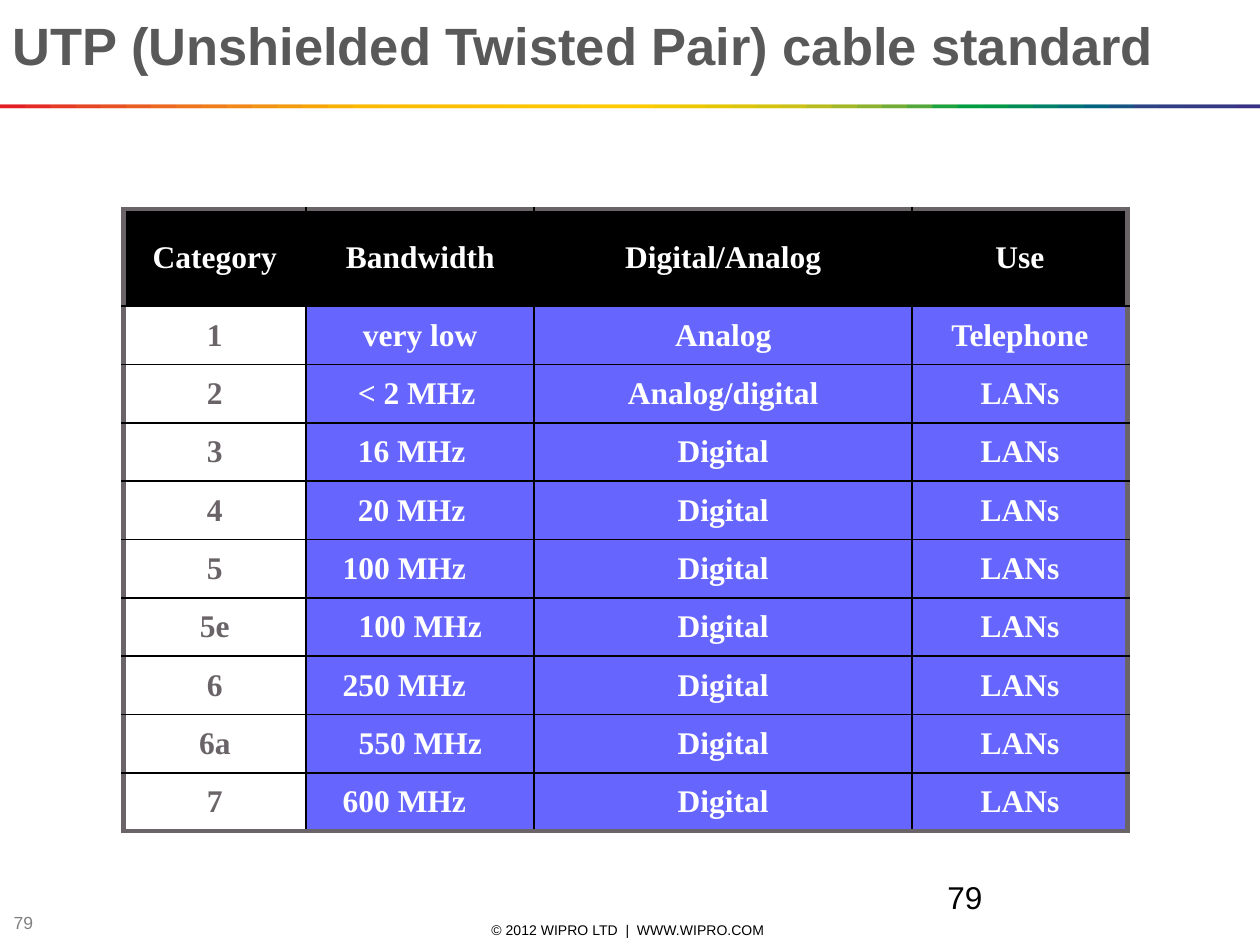
from lxml import etree
from pptx import Presentation
from pptx.dml.color import RGBColor
from pptx.enum.shapes import MSO_SHAPE
from pptx.enum.text import MSO_ANCHOR, MSO_AUTO_SIZE, PP_ALIGN
from pptx.oxml.ns import qn
from pptx.util import Inches, Pt

BLACK, WHITE, FRAME_GREY, VIOLET = "000000", "FFFFFF", "6A6468", "6666FF"

RAINBOW = """
E31E24 E31E24 E42C24 E53A24 E74623 E85122 EA5D21 EC691F EE741D EF7E1A F18817
F39314 F49C0F F6A607 F8B002 FBBA00 FBBB00 FBBD00 FCBF00 FCC000 FCC200 FDC400
FDC600 FDC700 FEC900 FECB00 FBCB00 F3CA00 ECC800 E4C602 DCC50A D5C30E CCC117
B8BC21 A3B829 8CB230 71AD36 51A73B 1DA240 009D43 009846 008C57 008068 007275
00637F 185384 2E4285 313E85 333B85 353885 393185
""".split()

STANDARDS = [
    ("Category", "Bandwidth", "Digital/Analog", "Use"),
    ("1", "very low", "Analog", "Telephone"),
    ("2", "< 2 MHz", "Analog/digital", "LANs"),
    ("3", "16 MHz", "Digital", "LANs"),
    ("4", "20 MHz", "Digital", "LANs"),
    ("5", "100 MHz", "Digital", "LANs"),
    ("5e", "100 MHz", "Digital", "LANs"),
    ("6", "250 MHz", "Digital", "LANs"),
    ("6a", "550 MHz", "Digital", "LANs"),
    ("7", "600 MHz", "Digital", "LANs"),
]
COLUMN_WIDTHS = (1.45, 1.81, 3, 1.71)
HEADER_HEIGHT, TABLE_HEIGHT = 0.77, 4.94
# Left indents of the bandwidths that are not centred, by category
BANDWIDTH_INDENTS = {"2": 0.31, "3": 0.31, "4": 0.31,
                     "5": 0.19, "6": 0.19, "7": 0.19}


def rgb(colour):
    return RGBColor.from_string(colour)


def write(frame, text, size, colour, font="Arial", bold=False,
          align=PP_ALIGN.LEFT):
    paragraph = frame.paragraphs[0]
    paragraph.alignment = align
    run = paragraph.add_run()
    run.text = text
    run.font.color.rgb = rgb(colour)
    for name, value in {"name": font, "size": Pt(size), "bold": bold}.items():
        setattr(run.font, name, value)
    return paragraph


def add_title(slide, text):
    title = slide.shapes.title
    for name, value in {"left": 0, "top": 0, "width": 9.5,
                        "height": 1.11}.items():
        setattr(title, name, Inches(value))
    frame = title.text_frame
    for name, value in {"word_wrap": True, "auto_size": MSO_AUTO_SIZE.NONE,
                        "vertical_anchor": MSO_ANCHOR.TOP,
                        "margin_top": Inches(0.1)}.items():
        setattr(frame, name, value)
    write(frame, text, 30, "595959", bold=True)


def add_label(slide, box, text, size, colour, anchor=MSO_ANCHOR.MIDDLE,
              align=PP_ALIGN.LEFT):
    frame = slide.shapes.add_textbox(*map(Inches, box)).text_frame
    frame.word_wrap = True
    frame.vertical_anchor = anchor
    write(frame, text, size, colour, align=align)


def add_rainbow_rule(slide, step=0.2, end=10):
    """Draw overlapping bars two steps wide, cut off at the slide's edges."""
    for index, colour in enumerate(RAINBOW):
        left = max(0, (index - 1) * step)
        right = min(end, (index + 1) * step)
        bar = slide.shapes.add_shape(
            MSO_SHAPE.RECTANGLE, Inches(left), Inches(0.83),
            Inches(right - left), Inches(0.03))
        bar.shadow.inherit = False
        bar.fill.solid()
        bar.fill.fore_color.rgb = rgb(colour)
        bar.line.fill.background()


def set_borders(cell, outer_sides):
    """Give the outer sides a thick grey line and the others a thin black one."""
    properties = cell._tc.get_or_add_tcPr()
    for side in "LRTB":
        colour, width = (FRAME_GREY, 3) if side in outer_sides else (BLACK, 1)
        line = etree.SubElement(properties, qn(f"a:ln{side}"), w=str(Pt(width)))
        fill = etree.SubElement(line, qn("a:solidFill"))
        etree.SubElement(fill, qn("a:srgbClr"), val=colour)


def cell_colours(row, column):
    if row == 0:
        return BLACK, WHITE
    return (WHITE, FRAME_GREY) if column == 0 else (VIOLET, WHITE)


def add_standards_table(slide):
    last_row, last_column = len(STANDARDS) - 1, len(COLUMN_WIDTHS) - 1
    table = slide.shapes.add_table(
        len(STANDARDS), len(COLUMN_WIDTHS), Inches(0.98), Inches(1.66),
        Inches(sum(COLUMN_WIDTHS)), Inches(TABLE_HEIGHT)).table
    table.first_row = table.horz_banding = False
    for column, width in zip(table.columns, COLUMN_WIDTHS):
        column.width = Inches(width)
    for row in table.rows:
        row.height = Inches((TABLE_HEIGHT - HEADER_HEIGHT) / last_row)
    table.rows[0].height = Inches(HEADER_HEIGHT)

    for r, standard in enumerate(STANDARDS):
        for c, text in enumerate(standard):
            cell = table.cell(r, c)
            outer = {"T": r == 0, "B": r == last_row,
                     "L": c == 0, "R": c == last_column}
            set_borders(cell, [side for side in outer if outer[side]])
            background, ink = cell_colours(r, c)
            cell.fill.solid()
            cell.fill.fore_color.rgb = rgb(background)
            cell.vertical_anchor = MSO_ANCHOR.MIDDLE
            indent = BANDWIDTH_INDENTS.get(standard[0]) if c == 1 else None
            paragraph = write(cell.text_frame, text, 18, ink,
                              "Times New Roman", True,
                              PP_ALIGN.LEFT if indent else PP_ALIGN.CENTER)
            if indent:
                paragraph._p.get_or_add_pPr().set("marL", str(Inches(indent)))


def main():
    presentation = Presentation()
    presentation.slide_width = Inches(10)
    presentation.slide_height = Inches(7.5)
    slide = presentation.slides.add_slide(presentation.slide_layouts[5])

    add_title(slide, "UTP (Unshielded Twisted Pair) cable standard")
    add_label(slide, (3.4, 7.3, 3.17, 0.16),
              "© 2012 WIPRO LTD  |  WWW.WIPRO.COM", 8, BLACK,
              align=PP_ALIGN.CENTER)
    add_label(slide, (0.01, 7.22, 0.75, 0.21), "79", 10, "808080")
    add_rainbow_rule(slide)
    add_label(slide, (7.42, 6.92, 2.08, 0.5), "79", 18, BLACK, MSO_ANCHOR.TOP)
    add_standards_table(slide)
    presentation.save("out.pptx")


if __name__ == "__main__":
    main()
